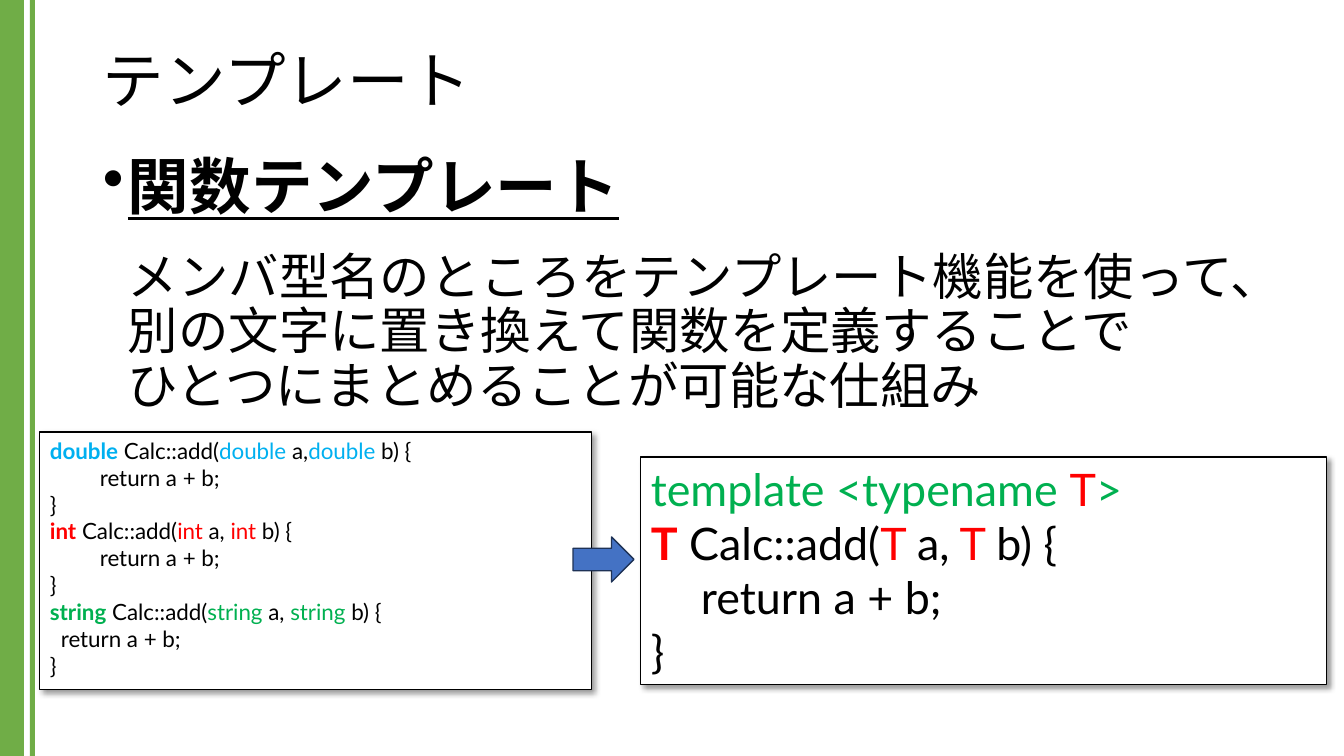
"""Build the slide that introduces function templates."""
from dataclasses import dataclass

import pptx
import pptx.dml.color
import pptx.enum.shapes
import pptx.enum.text
import pptx.oxml.xmlchemy
import pptx.util
from lxml import etree
from pptx.oxml import ns

EMU_PER_PX = 914400 / 100.8
FONT = "Lato"
BLACK, WHITE, RED, GREEN, CYAN = "000000", "FFFFFF", "FF0000", "00B050", "00B0F0"
STRIPE_GREEN, ARROW_BLUE, ARROW_EDGE = "70AD47", "4472C4", "1E3256"
SHAPES = pptx.enum.shapes.MSO_SHAPE
ANCHORS = pptx.enum.text.MSO_ANCHOR


@dataclass(frozen=True)
class Box:
    left: int
    top: int
    width: int
    height: int


@dataclass(frozen=True)
class Span:
    text: str
    colour: str = BLACK
    bold: bool = False
    underline: bool = False


@dataclass(frozen=True)
class Para:
    spans: tuple[Span, ...]
    size: int
    margin: int = 0
    bullet: str = ""
    line_spacing: float = 1.0
    space_before: int = 0


@dataclass(frozen=True)
class CodePanel:
    box: Box
    paras: tuple[Para, ...]


def px(length: int) -> int:
    return round(length * EMU_PER_PX)


def place(box: Box) -> tuple[int, ...]:
    return px(box.left), px(box.top), px(box.width), px(box.height)


def rgb(colour: str) -> pptx.dml.color.RGBColor:
    return pptx.dml.color.RGBColor.from_string(colour)


def add_span(para, span: Span, size: int) -> None:
    for index, line in enumerate(span.text.split("\n")):
        if index:
            para.add_line_break()
        run = para.add_run()
        run.text = line
        run.font.name = FONT
        run.font.size = pptx.util.Pt(size)
        run.font.bold = span.bold
        run.font.underline = span.underline
        run.font.color.rgb = rgb(span.colour)


def write(frame, paras: tuple[Para, ...], anchor=ANCHORS.TOP) -> None:
    frame.word_wrap = True
    frame.vertical_anchor = anchor
    for index, item in enumerate(paras):
        para = frame.add_paragraph() if index else frame.paragraphs[0]
        para.alignment = pptx.enum.text.PP_ALIGN.LEFT
        para.line_spacing = item.line_spacing
        para.space_before = pptx.util.Pt(item.space_before)
        properties = para._p.get_or_add_pPr()
        properties.set("marL", str(px(item.margin)))
        properties.set("indent", str(-px(item.margin) if item.bullet else 0))
        if item.bullet:
            etree.SubElement(properties, ns.qn("a:buChar"), char=item.bullet)
        for span in item.spans:
            add_span(para, span, item.size)


def add_text(page, box: Box, paras: tuple[Para, ...], anchor=ANCHORS.TOP) -> None:
    write(page.shapes.add_textbox(*place(box)).text_frame, paras, anchor)


def add_shape(page, kind, box: Box, fill: str, edge: str = "", width: float = 0):
    shape = page.shapes.add_shape(kind, *place(box))
    shape.shadow.inherit = False
    shape.fill.solid()
    shape.fill.fore_color.rgb = rgb(fill)
    if edge:
        shape.line.color.rgb = rgb(edge)
        shape.line.width = pptx.util.Pt(width)
    else:
        shape.line.fill.background()
    return shape


def add_shadow(shape) -> None:
    effects = shape._element.spPr.find(ns.qn("a:effectLst"))
    shadow = etree.SubElement(
        effects, ns.qn("a:outerShdw"), blurRad=str(pptx.util.Pt(4)),
        dist=str(pptx.util.Pt(3)), dir="2700000", algn="tl", rotWithShape="0")
    colour = etree.SubElement(shadow, ns.qn("a:srgbClr"), val=BLACK)
    etree.SubElement(colour, ns.qn("a:alpha"), val="40000")


def add_panel(page, panel: CodePanel) -> None:
    shape = add_shape(page, SHAPES.RECTANGLE, panel.box, WHITE, BLACK, 0.75)
    add_shadow(shape)
    write(shape.text_frame, panel.paras)


def add_function(type_name: str, colour: str, size: int, margin: int = 50,
                 gap: str = " ") -> tuple[Para, ...]:
    signature = (
        Span(type_name, colour, bold=True), Span(" Calc::add("),
        Span(f"{type_name} ", colour), Span("a,"),
        Span(f"{gap}{type_name} ", colour), Span("b) {"))
    return (Para(signature, size), Para((Span("return a + b;"),), size, margin),
            Para((Span("}"),), size))


STRIPES = (Box(0, 0, 24, 756), Box(30, 0, 5, 756))
TITLE = Para((Span("テンプレート"),), 44, line_spacing=0.9)
BODY = (
    Para((Span("関数テンプレート", bold=True, underline=True),), 44, 25, "•", 0.9),
    Para((Span("メンバ型名のところをテンプレート機能を使って、別の文字に置き換えて関数を"
               "定義することで\nひとつにまとめることが可能な仕組み"),),
         36, 25, line_spacing=0.9, space_before=21),
)
PANELS = (
    CodePanel(Box(40, 432, 552, 258),
              add_function("double", CYAN, 16, gap="")
              + add_function("int", RED, 16)
              + add_function("string", GREEN, 16, margin=11)),
    CodePanel(Box(641, 457, 686, 228),
              (Para((Span("template <typename ", GREEN), Span("T", RED),
                     Span(">", GREEN)), 32),)
              + add_function("T", RED, 32)),
)


def main() -> None:
    deck = pptx.Presentation()
    deck.slide_width, deck.slide_height = px(1344), px(756)
    page = deck.slides.add_slide(deck.slide_layouts[6])
    for stripe in STRIPES:
        add_shape(page, SHAPES.RECTANGLE, stripe, STRIPE_GREEN)
    add_text(page, Box(93, 40, 1159, 88), (TITLE,), ANCHORS.MIDDLE)
    add_text(page, Box(93, 151, 1159, 593), BODY)
    for panel in PANELS:
        add_panel(page, panel)
    add_shape(page, SHAPES.RIGHT_ARROW, Box(573, 537, 61, 45), ARROW_BLUE, ARROW_EDGE, 1)
    deck.save("out.pptx")


if __name__ == "__main__":
    main()
